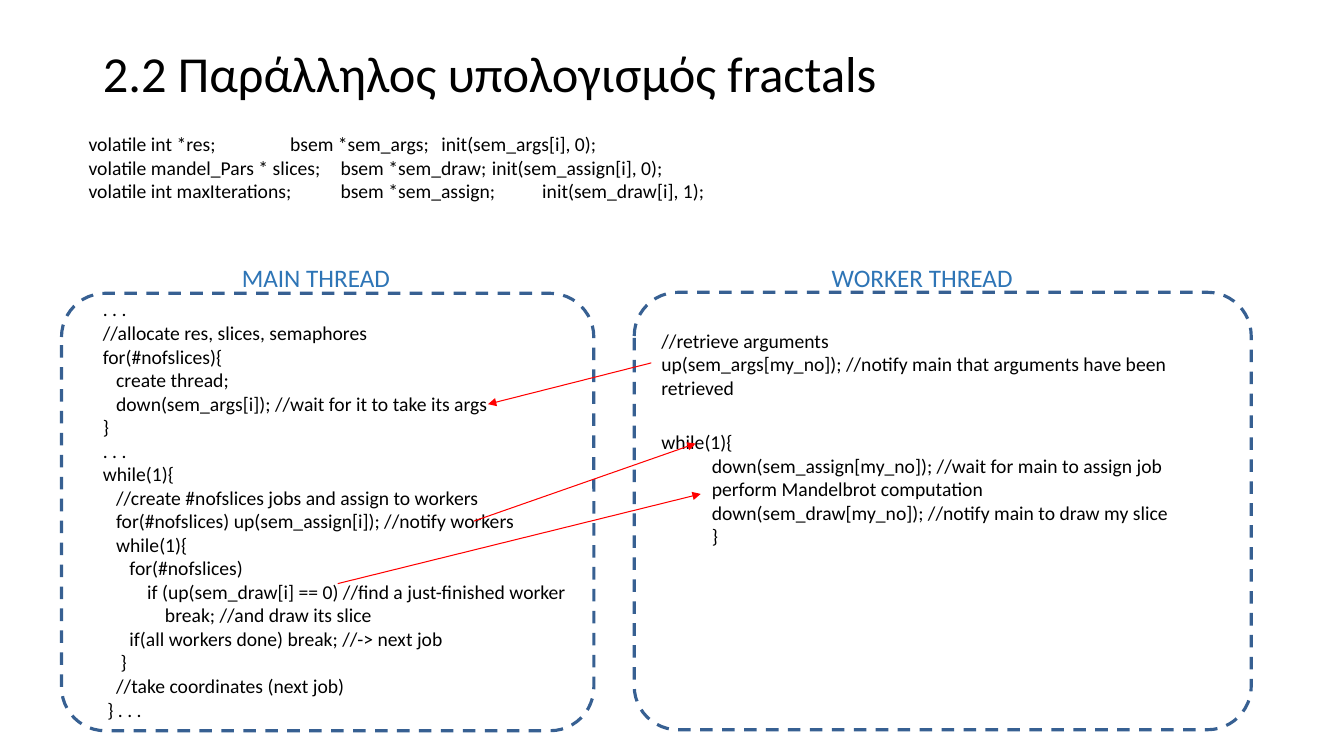
import pptx
import pptx.util
import pptx.dml.color
import pptx.enum.dml
import pptx.enum.shapes
import pptx.enum.text
import pptx.oxml
import pptx.oxml.ns

Inches, Pt = pptx.util.Inches, pptx.util.Pt
SPACE = 0.044  # width of one code column in inches

# Each code line: (columns of indent, text)
MAIN = [
    (0, ". . ."),
    (0, "//allocate res, slices, semaphores"),
    (0, "for(#nofslices){"),
    (3, "create thread;"),
    (3, "down(sem_args[i]); //wait for it to take its args"),
    (0, "}"),
    (0, ". . ."),
    (0, "while(1){"),
    (3, "//create #nofslices jobs and assign to workers"),
    (3, "for(#nofslices) up(sem_assign[i]); //notify workers"),
    (3, "while(1){"),
    (6, "for(#nofslices)"),
    (10, "if (up(sem_draw[i] == 0) //find a just-finished worker"),
    (14, "break; //and draw its slice"),
    (6, "if(all workers done) break; //-> next job"),
    (4, "}"),
    (3, "//take coordinates (next job)"),
    (1, "} . . ."),
]
TAB = 0.5 / SPACE
WORKER = [
    (0, "//retrieve arguments"),
    (0, "up(sem_args[my_no]); //notify main that arguments have been retrieved"),
    (0, "while(1){"),
    (TAB, "down(sem_assign[my_no]); //wait for main to assign job"),
    (TAB, "perform Mandelbrot computation"),
    (TAB, "down(sem_draw[my_no]); //notify main to draw my slice"),
    (TAB, "}"),
]
VARS = [
    "volatile int *res;\t\tbsem *sem_args;\tinit(sem_args[i], 0);",
    "volatile mandel_Pars * slices;\tbsem *sem_draw;\tinit(sem_assign[i], 0);",
    "volatile int maxIterations;\tbsem *sem_assign;\tinit(sem_draw[i], 1);",
]


def color(code):
    return pptx.dml.color.RGBColor.from_string(code)


def place(shape, left, top, width, height):
    shape.left, shape.top = Inches(left), Inches(top)
    shape.width, shape.height = Inches(width), Inches(height)


def write(shape, lines, size, code="000000"):
    frame = shape.text_frame
    frame.word_wrap = True
    frame.auto_size = pptx.enum.text.MSO_AUTO_SIZE.NONE
    frame.text = "\n".join(lines)
    for para in frame.paragraphs:
        para.alignment = pptx.enum.text.PP_ALIGN.LEFT
        para.space_before = Pt(0)
        for run in para.runs:
            run.font.size = Pt(size)
            run.font.name = "Calibri"
            run.font.color.rgb = color(code)


def listing(shape, box, lines):
    place(shape, *box)
    write(shape, [text for _, text in lines], 14)
    for para, (cols, _) in zip(shape.text_frame.paragraphs, lines):
        props = para._p.get_or_add_pPr()
        props.set("marL", str(Inches(cols * SPACE)))
        props.set("indent", "0")
        props.append(pptx.oxml.parse_xml(
            "<a:buNone %s/>" % pptx.oxml.ns.nsdecls("a")))


def label(slide, box, lines, size, code="000000"):
    shape = slide.shapes.add_textbox(*map(Inches, box))
    write(shape, lines, size, code)


def frame(slide, box):
    shape = slide.shapes.add_shape(
        pptx.enum.shapes.MSO_SHAPE.ROUNDED_RECTANGLE, *map(Inches, box))
    shape.adjustments[0] = 0.1
    shape.shadow.inherit = False
    shape.fill.background()
    shape.line.color.rgb = color("376092")
    shape.line.width = Pt(2.25)
    shape.line.dash_style = pptx.enum.dml.MSO_LINE.DASH


def arrow(slide, ends):
    link = slide.shapes.add_connector(
        pptx.enum.shapes.MSO_CONNECTOR.STRAIGHT, *map(Inches, ends))
    link.line.color.rgb = color("FF0000")
    link.line.width = Pt(0.75)
    space = pptx.oxml.ns.nsdecls("a")
    link.line._get_or_add_ln().append(pptx.oxml.parse_xml(
        '<a:tailEnd %s type="triangle"/>' % space))
    link._element.spPr.append(pptx.oxml.parse_xml("<a:effectLst %s/>" % space))


def main():
    deck = pptx.Presentation()
    deck.slide_width, deck.slide_height = Inches(13.33), Inches(7.5)
    slide = deck.slides.add_slide(deck.slide_layouts[3])
    title, left, right = slide.placeholders

    # Title and shared variables
    place(title, 0.92, 0.32, 11.5, 0.79)
    write(title, ["2.2 Παράλληλος υπολογισμός fractals"], 36)
    title.text_frame.vertical_anchor = pptx.enum.text.MSO_ANCHOR.MIDDLE
    label(slide, (0.78, 1.26, 8.74, 0.8), VARS, 14)

    # Code of both threads
    listing(left, (0.92, 2.9, 4.98, 4.29), MAIN)
    listing(right, (6.46, 3.21, 5.95, 2.36), WORKER)
    right.text_frame.paragraphs[2].space_before = Pt(22)

    # Frames and their captions
    for box in ((0.61, 2.91, 5.28, 4.34), (6.29, 2.9, 6.12, 4.34)):
        frame(slide, box)
    for x, name in ((2.3, "MAIN THREAD"), (8.15, "WORKER THREAD")):
        label(slide, (x, 2.55, 3.67, 0.4), [name], 18, "2E75B6")

    # Signals between the threads
    for ends in ((6.46, 3.6, 4.84, 4.01), (4.7, 5.17, 6.9, 4.4),
                 (3.35, 5.79, 6.95, 4.9)):
        arrow(slide, ends)

    deck.save("out.pptx")


main()
